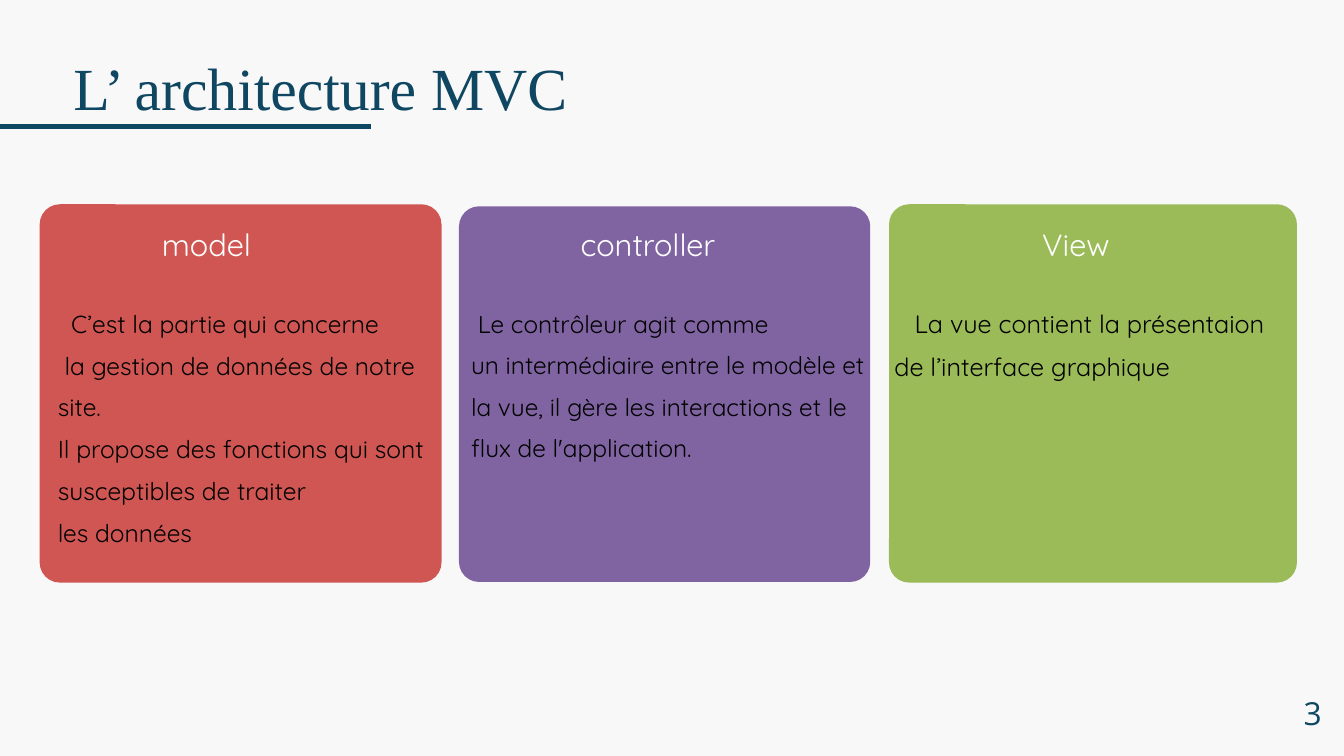
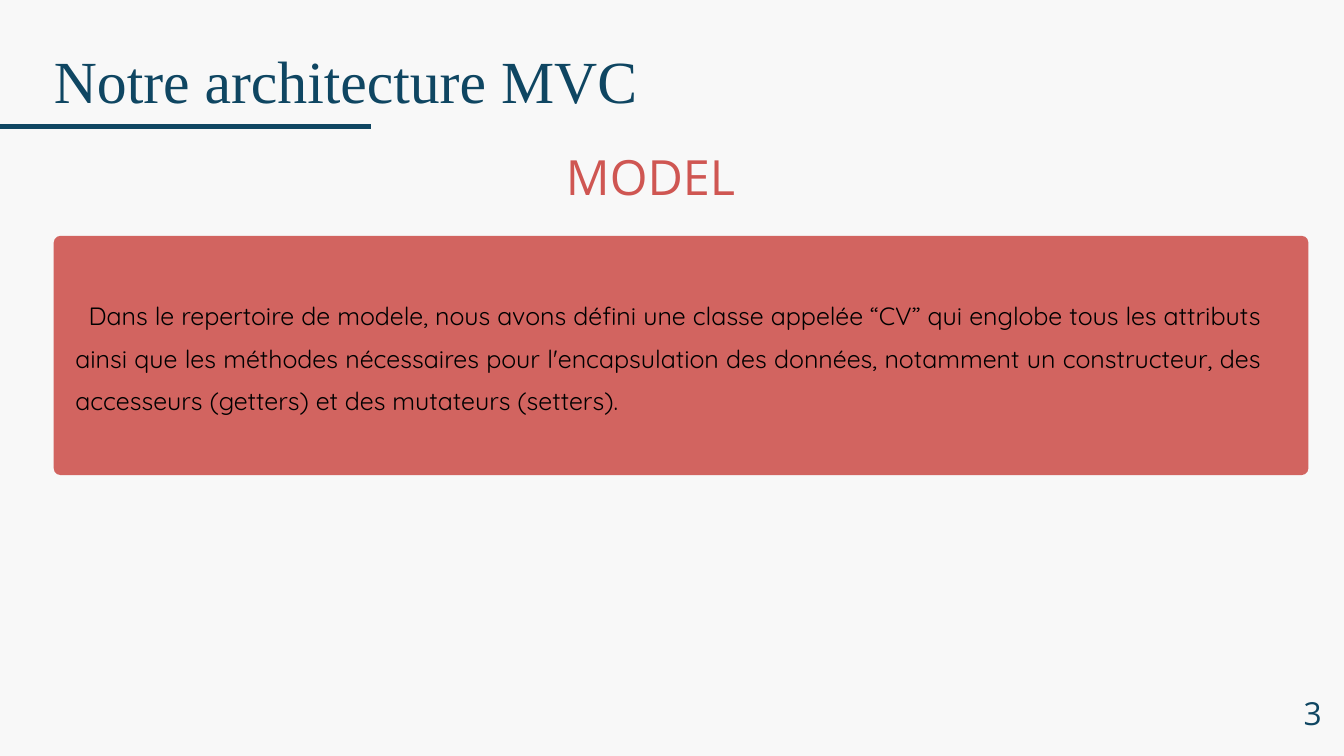
"""Build two slides presenting an MVC architecture."""
import pptx
import pptx.dml.color
import pptx.enum.shapes
import pptx.enum.text
import pptx.oxml
import pptx.oxml.ns
import pptx.util
from lxml import etree

Inches = pptx.util.Inches
Align = pptx.enum.text.PP_ALIGN
NAVY, RED, PURPLE, GREEN = "0F4662", "CF5652", "8064A2", "9BBB59"
BLACK, WHITE, PAPER = "000000", "FFFFFF", "F8F8F8"
TITLE_FONT, BODY_FONT, LABEL_FONT = "Times New Roman", "Quicksand", "Open Sans"
color = pptx.dml.color.RGBColor.from_string


def add_text(page, place, lines, size, spacing, font, tint, align=Align.LEFT):
    box = page.shapes.add_textbox(*map(Inches, place))
    frame = box.text_frame
    frame.word_wrap = True
    frame.auto_size = pptx.enum.text.MSO_AUTO_SIZE.SHAPE_TO_FIT_TEXT
    frame.margin_left = frame.margin_right = frame.margin_top = frame.margin_bottom = 0
    for number, (indent, text) in enumerate(lines):
        para = frame.add_paragraph() if number else frame.paragraphs[0]
        para.alignment = align
        para.line_spacing = pptx.util.Pt(spacing)
        if indent:
            para._p.get_or_add_pPr().set("indent", str(Inches(indent)))
        span = para.add_run()
        span.text = text
        span.font.size = pptx.util.Pt(size)
        span.font.name = font
        span.font.color.rgb = color(tint)


def add_card(page, place, radius, tint):
    card = page.shapes.add_shape(
        pptx.enum.shapes.MSO_SHAPE.ROUNDED_RECTANGLE, *map(Inches, place))
    card.adjustments[0] = radius / min(place[2:])
    card.shadow.inherit = False
    card.fill.solid()
    card.fill.fore_color.rgb = color(tint)
    card.line.fill.background()
    return card


deck = pptx.Presentation()
deck.slide_width, deck.slide_height = Inches(20), Inches(11.25)

titles = [(1.09, 0.58, "L’ architecture MVC"), (0.8, 0.47, "Notre architecture MVC")]
pages = []
for left, top, title in titles:
    page = deck.slides.add_slide(deck.slide_layouts[6])
    page.background.fill.solid()
    page.background.fill.fore_color.rgb = color(PAPER)
    add_text(page, (left, top, 8.88, 1.19), [(0, title)], 64, 89.6, TITLE_FONT, NAVY)
    rule = page.shapes.add_connector(
        pptx.enum.shapes.MSO_CONNECTOR.STRAIGHT,
        Inches(0), Inches(1.88), Inches(5.52), Inches(1.88))
    rule.line.color.rgb = color(NAVY)
    rule.line.width = pptx.util.Pt(6)
    etree.SubElement(rule._element.spPr, pptx.oxml.ns.qn("a:effectLst"))
    add_text(page, (19.4, 10.23, 0.27, 0.63), [(0, "3")], 34, 47.6,
             LABEL_FONT, NAVY, Align.CENTER)
    pages.append(page)
overview, model = pages

parts = [
    ("model", RED, (0.59, 3.04, 5.98, 5.63), (2.41, 3.27, 4.1, 0.62),
     (0.86, 4.41, 5.69, 4.25), 26.4, 44.8,
     [(0.2, "C’est la partie qui concerne"),
      (0.1, "la gestion de données de notre site."),
      (0, "Il propose des fonctions qui sont susceptibles de traiter"),
      (0, "les données")]),
    ("controller", PURPLE, (6.83, 3.07, 6.12, 5.59), (8.64, 3.27, 4.2, 0.62),
     (7.01, 4.41, 5.97, 2.41), 26.2, 44.6,
     [(0.1, "Le contrôleur agit comme"),
      (0, "un intermédiaire entre le modèle et la vue, il gère les interactions "
          "et le flux de l'application.")]),
    ("View", GREEN, (13.23, 3.04, 6.07, 5.63), (15.51, 3.27, 3.7, 0.62),
     (13.31, 4.4, 5.91, 1.23), 27, 45.9,
     [(0.3, "La vue contient la présentaion"),
      (0, "de l’interface graphique")]),
]
for name, tint, card_place, name_place, body_place, size, spacing, lines in parts:
    add_card(overview, card_place, 0.3, tint)
    add_text(overview, name_place, [(0, name)], 33, 46.2, BODY_FONT, WHITE)
    add_text(overview, body_place, lines, size, spacing, BODY_FONT, BLACK)

panel = add_card(model, (0.8, 3.51, 18.67, 3.56), 0.1, RED)
panel_color = panel._element.spPr.find(".//" + pptx.oxml.ns.qn("a:srgbClr"))
etree.SubElement(panel_color, pptx.oxml.ns.qn("a:alpha")).set("val", "91000")
add_text(model, (5.24, 2.05, 8.88, 0.97), [(0, "MODEL")], 52, 72.8,
         LABEL_FONT, RED, Align.CENTER)
description = (
    "Dans le repertoire de modele, nous avons défini une classe appelée “CV” qui englobe "
    "tous les attributs ainsi que les méthodes nécessaires pour l'encapsulation des données, "
    "notamment un constructeur, des accesseurs (getters) et des mutateurs (setters).")
add_text(model, (1.12, 4.29, 17.65, 1.83), [(0.2, description)], 26.8, 45.5,
         BODY_FONT, BLACK, Align.JUSTIFY)

deck.save("out.pptx")
